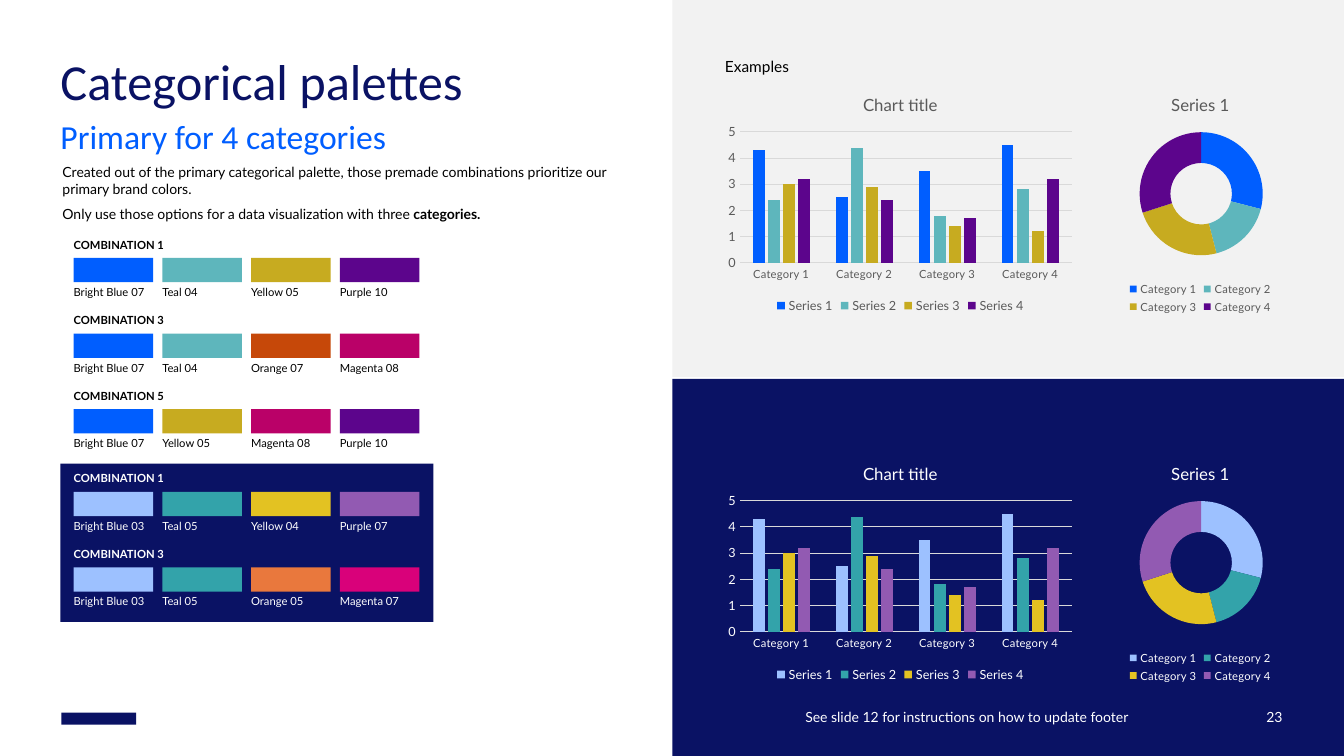
from dataclasses import dataclass

from lxml.etree import SubElement
from pptx import Presentation
from pptx.chart.data import CategoryChartData
from pptx.dml.color import RGBColor
from pptx.enum.chart import XL_CHART_TYPE as ChartType, XL_LEGEND_POSITION as LegendPosition
from pptx.enum.chart import XL_TICK_MARK as TickMark
from pptx.enum.shapes import MSO_SHAPE as Shape
from pptx.enum.text import MSO_ANCHOR as Anchor, PP_ALIGN as Align
from pptx.oxml.ns import qn
from pptx.util import Inches, Pt


@dataclass(frozen=True)
class Theme:
    heading_font: str = "Calibri"
    body_font: str = "Lato"
    navy: str = "0A1264"
    blue: str = "005EFF"
    black: str = "000000"
    white: str = "FFFFFF"
    pale: str = "F2F2F2"
    gray: str = "595959"
    grid: str = "D9D9D9"
    title: float = 36
    subtitle: float = 24
    chart_title: float = 12
    example: float = 11
    body: float = 10
    axis: float = 9
    label: float = 8


THEME = Theme()

SWATCHES = {
    "Bright Blue 03": "9DC1FF", "Bright Blue 07": THEME.blue,
    "Teal 04": "5EB6BC", "Teal 05": "33A3AA",
    "Yellow 04": "E3C222", "Yellow 05": "C7AB20",
    "Orange 05": "E9783D", "Orange 07": "C64809",
    "Magenta 07": "D9017A", "Magenta 08": "BA0168",
    "Purple 07": "925AB2", "Purple 10": "5C058C",
}
LIGHT_MAIN = ("Bright Blue 07", "Teal 04", "Yellow 05", "Purple 10")
DARK_MAIN = ("Bright Blue 03", "Teal 05", "Yellow 04", "Purple 07")
LIGHT_COMBINATIONS = (
    ("COMBINATION 1", LIGHT_MAIN),
    ("COMBINATION 3", ("Bright Blue 07", "Teal 04", "Orange 07", "Magenta 08")),
    ("COMBINATION 5", ("Bright Blue 07", "Yellow 05", "Magenta 08", "Purple 10")),
)
DARK_COMBINATIONS = (
    ("COMBINATION 1", DARK_MAIN),
    ("COMBINATION 3", ("Bright Blue 03", "Teal 05", "Orange 05", "Magenta 07")),
)

CATEGORIES = [f"Category {n}" for n in range(1, 5)]
COLUMN_SERIES = {
    "Series 1": (4.3, 2.5, 3.5, 4.5),
    "Series 2": (2.4, 4.4, 1.8, 2.8),
    "Series 3": (3, 2.9, 1.4, 1.2),
    "Series 4": (3.2, 2.4, 1.7, 3.2),
}
RING_SERIES = {"Series 1": (29, 17, 24, 30)}


def rgb(color):
    return RGBColor.from_string(color)


def style_font(font, size, color, name=THEME.body_font, bold=False):
    font.size, font.name, font.bold = Pt(size), name, bold
    font.color.rgb = rgb(color)


def fill_solid(part, color):
    part.fill.solid()
    part.fill.fore_color.rgb = rgb(color)


def add_block(slide, left, top, width, height, color):
    block = slide.shapes.add_shape(
        Shape.RECTANGLE, Inches(left), Inches(top), Inches(width), Inches(height))
    block.shadow.inherit = False
    fill_solid(block, color)
    block.line.fill.background()


def add_frame(slide, left, top, width, height, wrap=True):
    """Add a text box without insets and return its text frame."""
    box = slide.shapes.add_textbox(Inches(left), Inches(top), Inches(width), Inches(height))
    frame = box.text_frame
    frame.margin_left = frame.margin_top = frame.margin_right = frame.margin_bottom = 0
    frame.word_wrap = wrap
    return frame


def add_line(slide, text, left, top, width, height, size, color, wrap=False, **font):
    """Add one paragraph of text and return its text frame."""
    frame = add_frame(slide, left, top, width, height, wrap)
    frame.text = text
    style_font(frame.paragraphs[0].font, size, color, **font)
    return frame


def add_footer(slide, text, left, width):
    frame = add_line(slide, text, left, 6.9, width, 0.3, THEME.body, THEME.white, wrap=True)
    frame.vertical_anchor = Anchor.BOTTOM
    frame.paragraphs[0].alignment = Align.RIGHT


def add_heading(slide):
    title = add_line(slide, "Categorical palettes", 0.6, 0.6, 12.13, 0.48, THEME.title,
                     THEME.navy, wrap=True, name=THEME.heading_font)
    title.paragraphs[0].line_spacing = Pt(THEME.title)
    subtitle = add_line(slide, "Primary for 4 categories", 0.6, 1.23, 12.13, 0.32,
                        THEME.subtitle, THEME.blue, wrap=True, name=THEME.heading_font)
    subtitle.paragraphs[0].line_spacing = 0.8


def add_intro(slide):
    frame = add_frame(slide, 0.62, 1.62, 5.76, 0.62)
    purpose, limit = frame.paragraphs[0], frame.add_paragraph()
    purpose.text = ("Created out of the primary categorical palette, those premade "
                    "combinations prioritize our primary brand colors.")
    limit.space_before = Pt(6)
    limit.add_run().text = "Only use those options for a data visualization with three "
    emphasis = limit.add_run()
    emphasis.text = "categories."
    for paragraph in frame.paragraphs:
        style_font(paragraph.font, THEME.body, THEME.black)
    emphasis.font.bold = True


def add_combinations(slide, combinations, top, color):
    """Stack titled rows of named swatches; top is that of the first swatch."""
    for row, (heading, names) in enumerate(combinations):
        y = top + 0.75 * row
        add_line(slide, heading, 0.73, y - 0.2, 0.92, 0.13, THEME.label, color, bold=True)
        for column, name in enumerate(names):
            x = 0.73 + 0.88 * column
            add_block(slide, x, y, 0.79, 0.24, SWATCHES[name])
            add_line(slide, name, x, y + 0.27, 0.8, 0.13, THEME.label, color)


def place_plot(chart, x, y, w, h):
    """Fix the inner plot area, in fractions of the chart."""
    plot_area = chart.plots[0]._element.getparent()
    layout = plot_area.find(qn("c:layout"))
    if layout is None:
        layout = SubElement(plot_area, qn("c:layout"))
        plot_area.insert(0, layout)
    manual = SubElement(layout, qn("c:manualLayout"))
    settings = dict(layoutTarget="inner", xMode="edge", yMode="edge", x=x, y=y, w=w, h=h)
    for tag, value in settings.items():
        SubElement(manual, qn(f"c:{tag}")).set("val", str(value))


def add_chart(slide, kind, title, series, left, top, width, color, legend_size):
    data = CategoryChartData()
    data.categories = CATEGORIES
    for name, values in series.items():
        data.add_series(name, values)
    chart = slide.shapes.add_chart(
        kind, Inches(left), Inches(top), Inches(width), Inches(2.36), data).chart
    style_font(chart.font, THEME.body, THEME.black)
    chart.has_title = True
    chart.chart_title.text_frame.text = title
    style_font(chart.chart_title.text_frame.paragraphs[0].font, THEME.chart_title, color)
    chart.chart_title.include_in_layout = False
    chart.has_legend = True
    chart.legend.position = LegendPosition.BOTTOM
    chart.legend.include_in_layout = False
    style_font(chart.legend.font, legend_size, color)
    return chart


def add_columns(slide, top, palette, color):
    chart = add_chart(slide, ChartType.COLUMN_CLUSTERED, "Chart title", COLUMN_SERIES,
                      7.16, top, 3.54, color, THEME.axis)
    place_plot(chart, 0.05, 0.22, 0.93, 0.55)
    plot = chart.plots[0]
    plot.vary_by_categories, plot.gap_width, plot.overlap = False, 219, -27
    for series, name in zip(plot.series, palette):
        fill_solid(series.format, SWATCHES[name])
    categories, values = chart.category_axis, chart.value_axis
    values.minimum_scale, values.maximum_scale, values.major_unit = 0, 5, 1
    values.has_major_gridlines = True
    values.format.line.fill.background()
    for axis, size in ((categories, THEME.label), (values, THEME.axis)):
        axis.major_tick_mark = axis.minor_tick_mark = TickMark.NONE
        style_font(axis.tick_labels.font, size, color)
    for line in (categories.format.line, values.major_gridlines.format.line):
        line.color.rgb, line.width = rgb(THEME.grid), Pt(0.75)


def add_ring(slide, top, palette, color):
    chart = add_chart(slide, ChartType.DOUGHNUT, "Series 1", RING_SERIES,
                      11.02, top, 1.77, color, THEME.label)
    place_plot(chart, 0.16, 0.22, 0.69, 0.52)
    for index, name in enumerate(palette):
        fill_solid(chart.plots[0].series[0].points[index].format, SWATCHES[name])


def main():
    deck = Presentation()
    deck.slide_width, deck.slide_height = Inches(13.33), Inches(7.5)
    slide = deck.slides.add_slide(deck.slide_layouts[6])
    add_block(slide, 0.61, 7.07, 0.74, 0.12, THEME.navy)
    examples = ((0, THEME.pale, LIGHT_MAIN, THEME.gray, 0.79),
                (3.76, THEME.navy, DARK_MAIN, THEME.white, 4.45))
    for panel_top, panel_color, palette, color, chart_top in examples:
        add_block(slide, 6.67, panel_top, 6.67, 3.74, panel_color)
        add_ring(slide, chart_top, palette, color)
        add_columns(slide, chart_top, palette, color)
    add_footer(slide, "See slide 12 for instructions on how to update footer", 5.23, 5.96)
    add_footer(slide, "23", 11.4, 1.32)
    add_heading(slide)
    add_block(slide, 0.6, 4.6, 3.7, 1.57, THEME.navy)
    add_combinations(slide, LIGHT_COMBINATIONS, 2.56, THEME.black)
    add_combinations(slide, DARK_COMBINATIONS, 4.88, THEME.white)
    add_intro(slide)
    add_line(slide, "Examples", 7.19, 0.57, 4.19, 0.24, THEME.example, THEME.black)
    deck.save("out.pptx")


if __name__ == "__main__":
    main()
